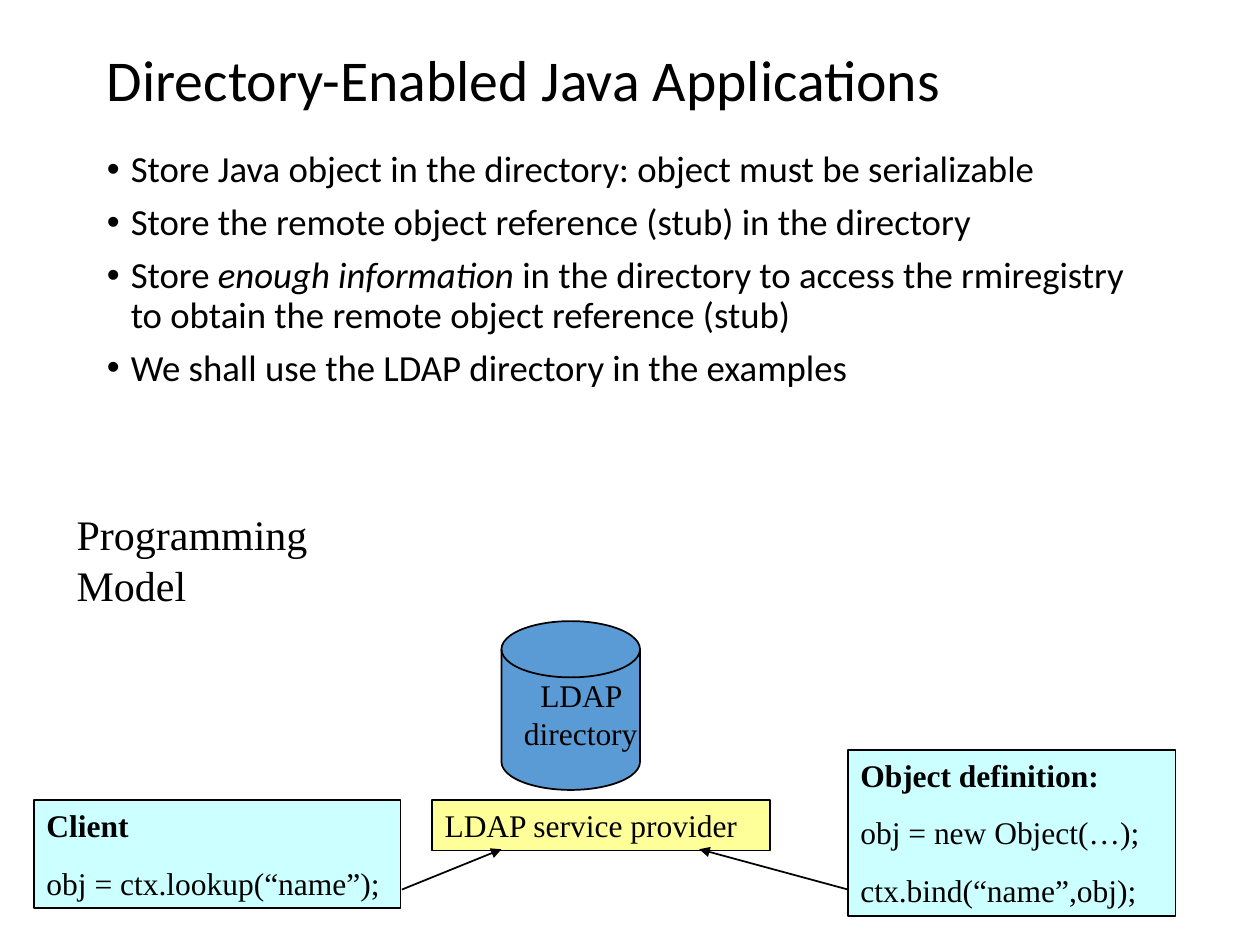
from dataclasses import dataclass
from typing import Optional

from lxml import etree
from pptx import Presentation
from pptx import util as u
from pptx.dml.color import RGBColor
from pptx.enum import shapes, text
from pptx.oxml import ns

COLORS = {
    "ink": "000000",
    "paper": "FFFFFF",
    "code": "CCFFFF",
    "provider": "FFFF99",
    "directory": "5B9BD5",
}
SANS = "Calibri"
SERIF = "Times New Roman"


@dataclass(frozen=True)
class Run:
    text: str
    bold: bool = False
    italic: bool = False


@dataclass(frozen=True)
class Block:
    left: float
    top: float
    width: float
    height: float
    paragraphs: tuple[tuple[Run, ...], ...] = ()
    font: str = SERIF
    size: float = 18
    space_before: float = 11.2
    line_spacing: float = 1.0
    fill: Optional[str] = None
    kind: shapes.MSO_SHAPE = shapes.MSO_SHAPE.RECTANGLE
    anchor: text.MSO_ANCHOR = text.MSO_ANCHOR.TOP
    align: text.PP_ALIGN = text.PP_ALIGN.LEFT
    bulleted: bool = False


@dataclass(frozen=True)
class Arrow:
    start: tuple[float, float]
    end: tuple[float, float]


def lines(*texts: str) -> tuple[tuple[Run, ...], ...]:
    return tuple((Run(content),) for content in texts)


BLOCKS = (
    Block(0.75, 0.28, 8.58, 0.75, lines("Directory-Enabled Java Applications"),
          SANS, 33, line_spacing=0.9, anchor=text.MSO_ANCHOR.MIDDLE),
    Block(0.75, 1.15, 8.5, 3.62, (
        *lines("Store Java object in the directory: object must be serializable",
               "Store the remote object reference (stub) in the directory"),
        (Run("Store "), Run("enough information", italic=True),
         Run(" in the directory to access the rmiregistry "
             "to obtain the remote object reference (stub)")),
        *lines("We shall use the LDAP directory in the examples"),
    ), SANS, 21, 7.5, 0.9, bulleted=True),
    Block(0.27, 6.35, 2.91, 0.86, (
        (Run("Client", bold=True),),
        *lines("obj = ctx.lookup(“name”);"),
    ), fill="code"),
    Block(3.98, 4.93, 1.1, 1.34, fill="directory",
          kind=shapes.MSO_SHAPE.FLOWCHART_MAGNETIC_DISK),
    Block(3.98, 5.32, 1.26, 0.7, lines("LDAP directory"),
          align=text.PP_ALIGN.CENTER),
    Block(3.43, 6.35, 2.68, 0.4, lines("LDAP service provider"), fill="provider"),
    Block(6.73, 5.95, 2.6, 1.32, (
        (Run("Object definition:", bold=True),),
        *lines("obj = new Object(…);", "ctx.bind(“name”,obj);"),
    ), fill="code"),
    Block(0.51, 3.99, 2.2, 0.9, lines("Programming Model"), size=24),
)
ARROWS = (
    Arrow((3.19, 7.06), (3.98, 6.74)),
    Arrow((6.73, 7.06), (5.55, 6.74)),
)


def color(name: str) -> RGBColor:
    return RGBColor.from_string(COLORS[name])


def apply_format(target, values: dict) -> None:
    for name, value in values.items():
        setattr(target, name, value)


def add_bullet(paragraph) -> None:
    properties = paragraph._p.get_or_add_pPr()
    indent = u.Inches(0.19)
    properties.set("marL", str(indent))
    properties.set("indent", str(-indent))
    etree.SubElement(properties, ns.qn("a:buFont"), typeface="Arial")
    etree.SubElement(properties, ns.qn("a:buChar"), char="•")


def write_text(shape, block: Block) -> None:
    frame = shape.text_frame
    apply_format(frame, {
        "word_wrap": True,
        "auto_size": text.MSO_AUTO_SIZE.NONE,
        "vertical_anchor": block.anchor,
        "margin_left": u.Inches(0.1),
        "margin_right": u.Inches(0.1),
        "margin_top": u.Inches(0.05),
        "margin_bottom": u.Inches(0.05),
    })
    for index, runs in enumerate(block.paragraphs):
        paragraph = frame.add_paragraph() if index else frame.paragraphs[0]
        if block.bulleted:
            add_bullet(paragraph)
        apply_format(paragraph, {
            "alignment": block.align,
            "line_spacing": block.line_spacing,
            "space_before": u.Pt(block.space_before if index else 0),
        })
        for item in runs:
            run = paragraph.add_run()
            run.text = item.text
            apply_format(run.font, {
                "name": block.font,
                "size": u.Pt(block.size),
                "bold": item.bold,
                "italic": item.italic,
            })
            run.font.color.rgb = color("ink")


def draw_block(slide, block: Block) -> None:
    bounds = [u.Inches(length) for length in
              (block.left, block.top, block.width, block.height)]
    if block.fill:
        shape = slide.shapes.add_shape(block.kind, *bounds)
        shape.shadow.inherit = False
        shape.fill.solid()
        shape.fill.fore_color.rgb = color(block.fill)
        shape.line.color.rgb = color("ink")
        shape.line.width = u.Pt(1)
    else:
        shape = slide.shapes.add_textbox(*bounds)
    if block.paragraphs:
        write_text(shape, block)


def draw_arrow(slide, arrow: Arrow) -> None:
    points = [u.Inches(length) for length in (*arrow.start, *arrow.end)]
    connector = slide.shapes.add_connector(shapes.MSO_CONNECTOR.STRAIGHT, *points)
    connector.line.color.rgb = color("ink")
    connector.line.width = u.Pt(1)
    etree.SubElement(connector.line._get_or_add_ln(), ns.qn("a:tailEnd"), type="triangle")
    etree.SubElement(connector._element.spPr, ns.qn("a:effectLst"))


def main() -> None:
    presentation = Presentation()
    presentation.slide_width = u.Inches(10)
    presentation.slide_height = u.Inches(7.5)
    slide = presentation.slides.add_slide(presentation.slide_layouts[6])
    slide.background.fill.solid()
    slide.background.fill.fore_color.rgb = color("paper")
    for block in BLOCKS:
        draw_block(slide, block)
    for arrow in ARROWS:
        draw_arrow(slide, arrow)
    presentation.save("out.pptx")


if __name__ == "__main__":
    main()
